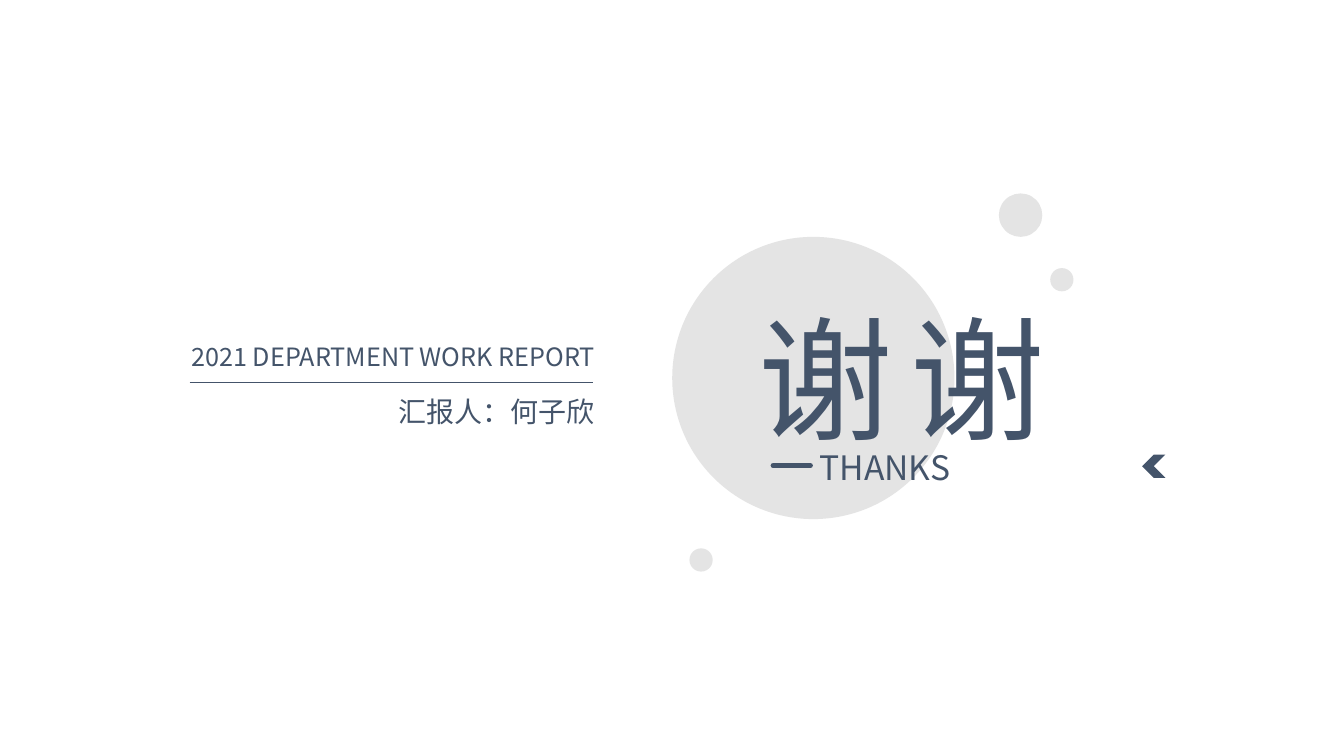
"""Build the closing thank-you slide."""
from lxml.etree import SubElement as Sub
from pptx import Presentation
from pptx.dml.color import RGBColor as RGB
from pptx.enum.shapes import MSO_CONNECTOR as Conn, MSO_SHAPE as Kind
from pptx.enum.text import MSO_ANCHOR as Anchor, MSO_AUTO_SIZE as Auto, PP_ALIGN as Align
from pptx.oxml.ns import qn
from pptx.util import Pt

HUES = {"ink": "44546A", "disc": "D9D9D9"}
FONT = "Noto Sans CJK SC"


def draw(kind, x, y, size, hue):
    form = shapes.add_shape(kind, Pt(x), Pt(y), Pt(size), Pt(size))
    form.shadow.inherit = False
    form.fill.solid()
    form.fill.fore_color.rgb = RGB.from_string(HUES[hue])
    form.line.fill.background()
    return form


def write(box, area, text, size, align, wrap):
    box.left, box.top, box.width, box.height = map(Pt, area)
    frame = box.text_frame
    frame.word_wrap = wrap
    frame.auto_size = Auto.SHAPE_TO_FIT_TEXT
    frame.vertical_anchor = Anchor.TOP
    para = frame.paragraphs[0]
    para.alignment = align
    run = para.add_run()
    run.text = text
    run.font.size = Pt(size)
    run.font.name = FONT
    run.font.color.rgb = RGB.from_string(HUES["ink"])
    Sub(run.font._element, qn("a:ea"), typeface=FONT)


deck = Presentation()
deck.slide_width, deck.slide_height = Pt(960), Pt(540)
slide = deck.slides.add_slide(deck.slide_layouts[5])
shapes = slide.shapes
title = shapes.title

discs = [
    (480.2, 169.2, 201.6),
    (713.5, 138.2, 31),
    (750.2, 191.5, 16.6),
    (492.5, 391.7, 16.6),
]
for x, y, size in discs:
    disc = draw(Kind.FLOWCHART_CONNECTOR, x, y, size, "disc")
    tone = disc.fill._xPr.find(".//" + qn("a:srgbClr"))
    Sub(tone, qn("a:alpha"), val="70000")
disc.element.addnext(title.element)

write(title, (578.2, 315.4, 235.4, 36), "THANKS", 24, Align.JUSTIFY, True)
labels = [
    ((535, 208.1, 110.2, 123.8), "谢", 96, Align.LEFT, False),
    ((643, 208.1, 110.2, 123.8), "谢", 96, Align.LEFT, False),
    ((110.9, 240.5, 321.1, 28.8), "2021 DEPARTMENT WORK REPORT", 18, Align.RIGHT, False),
    ((176.4, 278.6, 255.6, 31.7), "汇报人：何子欣", 20, Align.RIGHT, True),
]
for area, *rest in labels:
    write(shapes.add_textbox(0, 0, 0, 0), area, *rest)

rules = [(135.4, 423.4, 272.9, 0.5, "flat"), (552.2, 578.9, 332.6, 3.5, "rnd")]
for left, right, y, width, cap in rules:
    rule = shapes.add_connector(Conn.STRAIGHT, Pt(left), Pt(y), Pt(right), Pt(y))
    rule.line.width = Pt(width)
    rule.line.color.rgb = RGB.from_string(HUES["ink"])
    rule.line._ln.set("cap", cap)
    Sub(rule.element.spPr, qn("a:effectLst"))

arrow = draw(Kind.CHEVRON, 815.8, 324.7, 16.6, "ink")
arrow.rotation = 180

deck.save("out.pptx")
